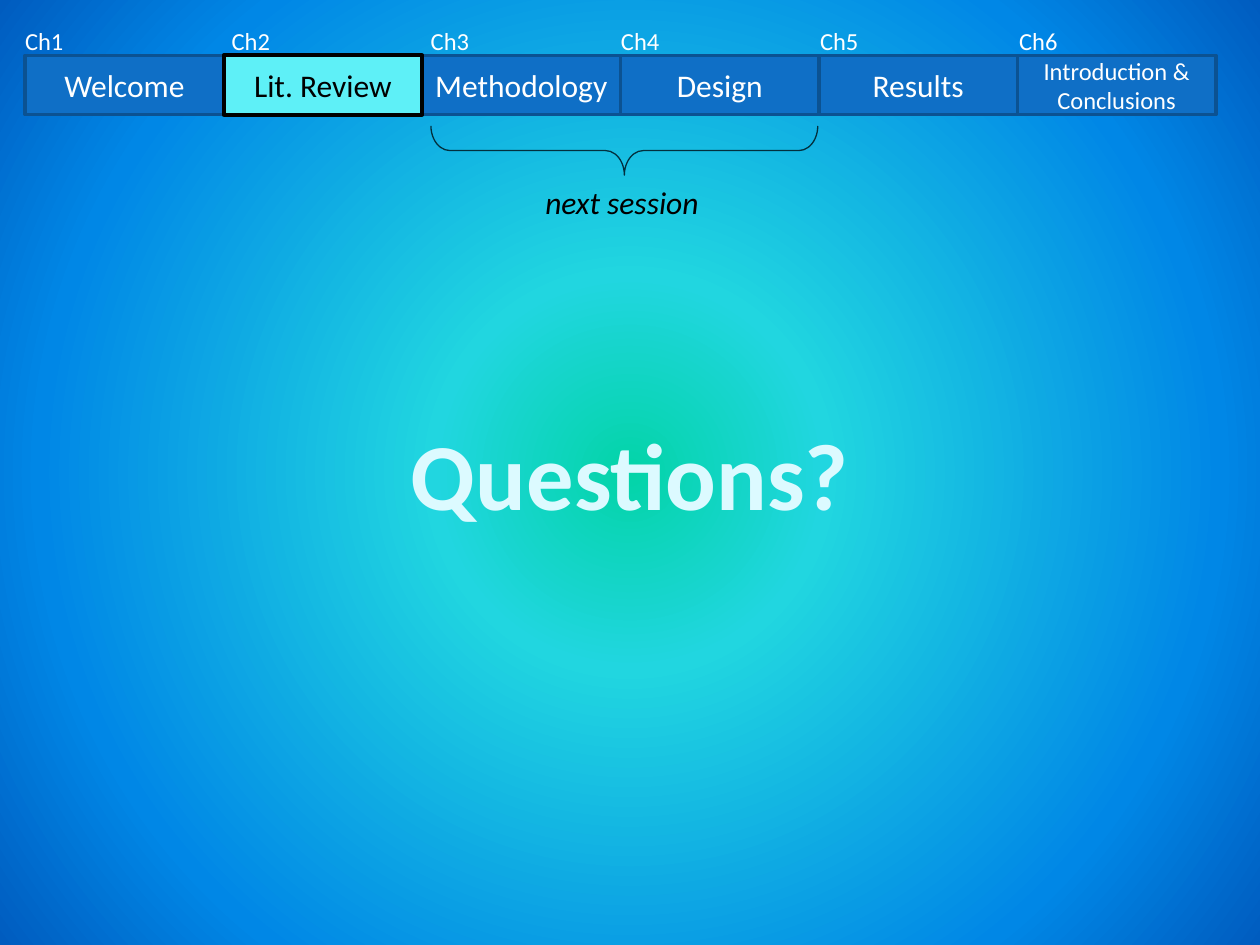
import pptx
import pptx.dml.color
import pptx.enum.shapes
import pptx.enum.text
import pptx.oxml
import pptx.oxml.ns
import pptx.util
from pptx.util import Inches

SHAPES = pptx.enum.shapes.MSO_SHAPE
ALIGN = pptx.enum.text.PP_ALIGN
ANCHOR = pptx.enum.text.MSO_ANCHOR
AUTO_SIZE = pptx.enum.text.MSO_AUTO_SIZE

CHAPTERS = [  # title, title size, left edge of the chapter label
    ("Welcome", 18, 0.1),
    ("Lit. Review", 18, 1.74),
    ("Methodology", 18, 3.32),
    ("Design", 18, 4.83),
    ("Results", 18, 6.41),
    ("Introduction & Conclusions", 14, 7.99),
]
CURRENT = 1
STEP_LEFT, STEP_TOP, STEP_WIDTH, STEP_HEIGHT = 0.2, 0.44, 1.575, 0.47
BACKGROUND_STOPS = [(0, "03D4A8"), (25, "21D6E0"), (75, "0087E6"), (100, "005CBF")]


def color(hex_value):
    return pptx.dml.color.RGBColor.from_string(hex_value)


def drawing_xml(markup):
    """Build a DrawingML element from markup that uses prefix a."""
    head, rest = markup.split(">", 1)
    return pptx.oxml.parse_xml(f"{head} {pptx.oxml.ns.nsdecls('a')}>{rest}")


class SlideBuilder:
    font = "Calibri"

    def __init__(self, slide):
        self.slide = slide

    def background(self, stops):
        """Fill the background with a gradient that spreads from the centre."""
        self.slide.background.fill.solid()
        solid = self.slide.element.xpath(".//p:bgPr/a:solidFill")[0]
        stop_list = "".join(
            f'<a:gs pos="{percent * 1000}"><a:srgbClr val="{shade}"/></a:gs>'
            for percent, shade in stops
        )
        gradient = drawing_xml(
            f'<a:gradFill rotWithShape="1"><a:gsLst>{stop_list}</a:gsLst><a:path path="circle">'
            '<a:fillToRect l="50000" t="50000" r="50000" b="50000"/></a:path></a:gradFill>'
        )
        solid.getparent().replace(solid, gradient)

    def add_text(self, frame, wording, shade, align=ALIGN.LEFT, **formats):
        paragraph = frame.paragraphs[0]
        paragraph.alignment = align
        run = paragraph.add_run()
        run.text = wording
        run.font.color.rgb = color(shade)
        formats["size"] = pptx.util.Pt(formats["size"])
        for attribute, value in {"name": self.font, **formats}.items():
            setattr(run.font, attribute, value)
        return run

    def label(self, box, wording, shade, **formats):
        frame = self.slide.shapes.add_textbox(*map(Inches, box)).text_frame
        frame.word_wrap = False
        frame.auto_size = AUTO_SIZE.SHAPE_TO_FIT_TEXT
        return self.add_text(frame, wording, shade, **formats)

    def outline_text(self, run, shade, points):
        line = drawing_xml(
            f'<a:ln w="{pptx.util.Pt(points)}"><a:solidFill><a:srgbClr val="{shade}"/>'
            "</a:solidFill></a:ln>"
        )
        run.font._element.insert(0, line)

    def shape(self, kind, box, line, points, fill=None):
        shape = self.slide.shapes.add_shape(kind, *map(Inches, box))
        shape.shadow.inherit = False
        if fill:
            shape.fill.solid()
            shape.fill.fore_color.rgb = color(fill)
        else:
            shape.fill.background()
        shape.line.color.rgb = color(line)
        shape.line.width = pptx.util.Pt(points)
        return shape

    def step(self, index, title, size, fill, line, points, shade):
        box = (STEP_LEFT + index * STEP_WIDTH, STEP_TOP, STEP_WIDTH, STEP_HEIGHT)
        frame = self.shape(SHAPES.RECTANGLE, box, line, points, fill).text_frame
        frame.word_wrap = True
        frame.vertical_anchor = ANCHOR.MIDDLE
        self.add_text(frame, title, shade, ALIGN.CENTER, size=size)

    def brace(self, box, line, points, curve):
        """Draw a brace that opens upward; box is its place before rotation."""
        brace = self.shape(SHAPES.RIGHT_BRACE, box, line, points)
        brace.rotation = 90
        brace.adjustments[0] = curve


def main():
    presentation = pptx.Presentation()
    presentation.slide_width, presentation.slide_height = Inches(10), Inches(7.5)
    builder = SlideBuilder(presentation.slides.add_slide(presentation.slide_layouts[6]))
    builder.background(BACKGROUND_STOPS)

    for index, (title, size, label_left) in enumerate(CHAPTERS):
        if index != CURRENT:
            builder.step(index, title, size, "0F6FC6", "0B5292", 2, "FFFFFF")
        builder.label((label_left, 0.16, 0.51, 0.34), f"Ch{index + 1}", "FFFFFF", size=14)
    title, size, _ = CHAPTERS[CURRENT]
    builder.step(CURRENT, title, size, "5EF0F7", "000000", 2.25, "000000")

    builder.brace((4.76, -0.34, 0.39, 3.07), "02303E", 0.75, curve=0.386)
    questions = builder.label((3.14, 3.25, 3.72, 1.01), "Questions?", "DCFAFF",
                              align=ALIGN.CENTER, size=54, bold=True)
    builder.outline_text(questions, "00637F", 1)
    builder.label((4.23, 1.4, 1.47, 0.4), "next session", "000000", size=18, italic=True)

    presentation.save("out.pptx")


if __name__ == "__main__":
    main()
